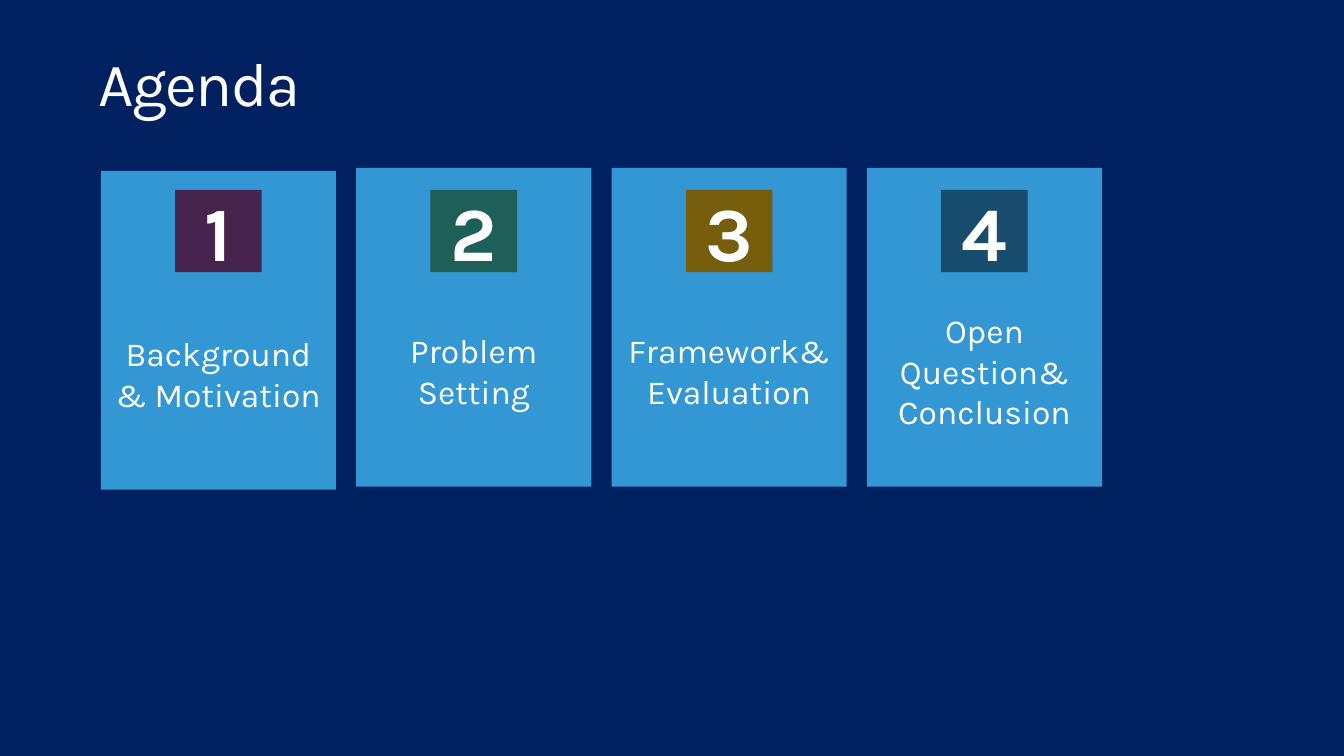
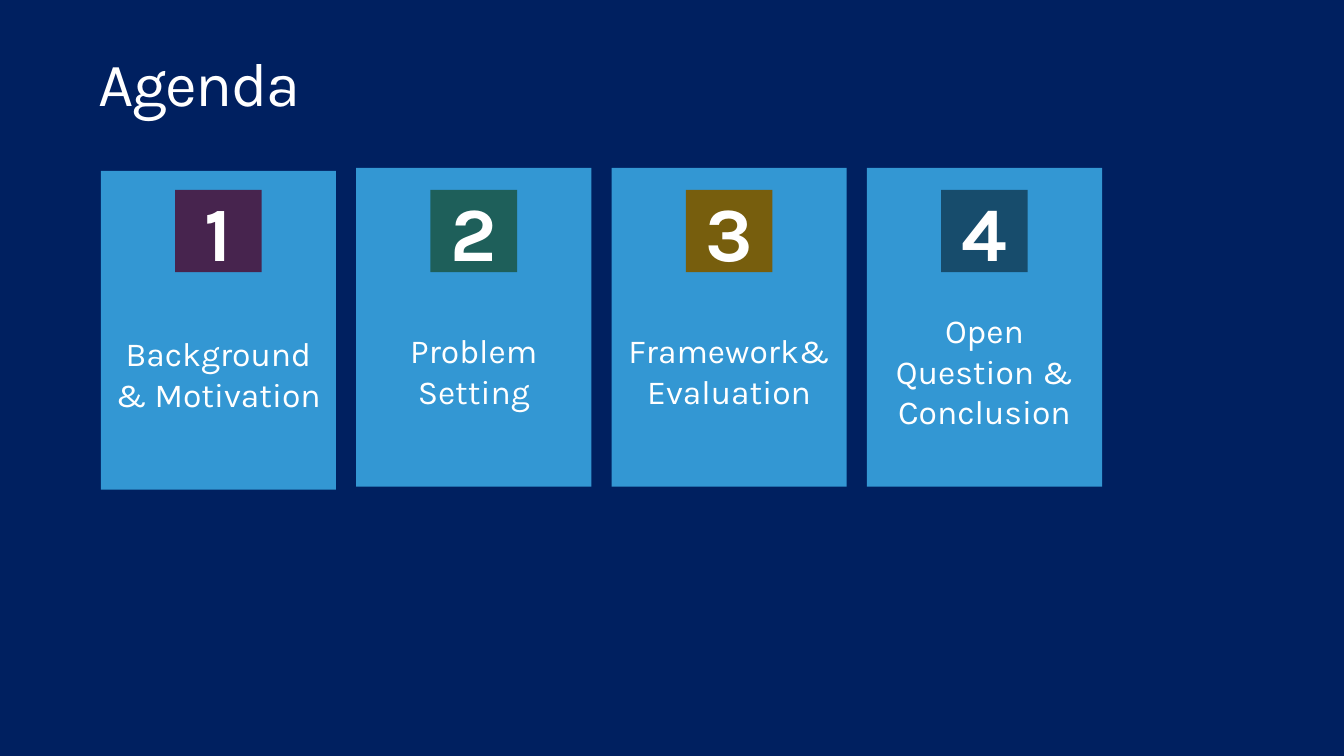
from dataclasses import dataclass

from pptx import Presentation
from pptx.dml.color import RGBColor
from pptx.enum.shapes import MSO_SHAPE
from pptx.enum.text import MSO_ANCHOR, MSO_AUTO_SIZE, PP_ALIGN
from pptx.util import Pt


@dataclass(frozen=True)
class Theme:
    """Colours, font and type sizes shared by the slides."""
    background: str = "002060"
    card: str = "3397D3"
    text: str = "FFFFFF"
    badges: tuple = ("47244E", "1E5F5A", "775E0D", "174C6C")
    font: str = "Karla"
    title_size: int = 33
    label_size: int = 18
    number_size: int = 41


THEME = Theme()
TITLE_BOX = (52.6, 28.8, 531.4, 36)
CARDS_BOX = (54, 90, 536.4, 170.8)
CARD_GAP = 10.8
FIRST_CARD_DROP = 1.6
BADGE_TOP, BADGE_W, BADGE_H = 11.8, 46.4, 44

TOPICS = ["Background & Motivation", "Problem Setting", "Framework&\nEvaluation"]
AGENDAS = [
    TOPICS + ["Open Question& Conclusion"],
    TOPICS + ["Open Question & Conclusion"],
]


def set_text(tf, text, size, margins, bold=None, align=None):
    """Fill a text frame with uniformly styled paragraphs."""
    tf.word_wrap = True
    tf.margin_left, tf.margin_top, tf.margin_right, tf.margin_bottom = map(Pt, margins)
    tf.text = text
    for p in tf.paragraphs:
        p.alignment = align
        p.font.name = THEME.font
        p.font.size = Pt(size)
        p.font.bold = bold
        p.font.color.rgb = RGBColor.from_string(THEME.text)


def add_block(s, box, fill, text, size, top_margin, bold=None):
    """Add a filled rectangle with centred text."""
    sp = s.shapes.add_shape(MSO_SHAPE.RECTANGLE, *map(Pt, box))
    sp.shadow.inherit = False
    sp.fill.solid()
    sp.fill.fore_color.rgb = RGBColor.from_string(fill)
    sp.line.fill.background()
    sp.text_frame.vertical_anchor = MSO_ANCHOR.MIDDLE
    set_text(sp.text_frame, text, size, (5.4, top_margin, 5.4, 2.7), bold, PP_ALIGN.CENTER)


def add_title(s, box, text):
    """Add the slide title."""
    tf = s.shapes.add_textbox(*map(Pt, box)).text_frame
    set_text(tf, text, THEME.title_size, (0, 0, 0, 0))
    tf.auto_size = MSO_AUTO_SIZE.SHAPE_TO_FIT_TEXT
    p = tf.paragraphs[0]
    p.line_spacing = 0.9
    p.runs[0].font._element.set("spc", "-80")


def add_cards(s, box, topics):
    """Add a row of topic cards with numbered badges on top."""
    left, top, width, height = box
    card_w = (width - CARD_GAP * (len(topics) - 1)) / len(topics)
    xs = [left + i * (card_w + CARD_GAP) for i in range(len(topics))]
    for i, (x, topic) in enumerate(zip(xs, topics)):
        y = top if i else top + FIRST_CARD_DROP
        add_block(s, (x, y, card_w, height), THEME.card, topic, THEME.label_size, 49)
    for i, (x, color) in enumerate(zip(xs, THEME.badges), 1):
        badge = (x + (card_w - BADGE_W) / 2, top + BADGE_TOP, BADGE_W, BADGE_H)
        add_block(s, badge, color, str(i), THEME.number_size, 2.7, True)


def add_agenda_slide(prs, topics):
    """Add one agenda slide."""
    s = prs.slides.add_slide(prs.slide_layouts[6])
    s.background.fill.solid()
    s.background.fill.fore_color.rgb = RGBColor.from_string(THEME.background)
    add_title(s, TITLE_BOX, "Agenda")
    add_cards(s, CARDS_BOX, topics)


def main():
    """Build and save the presentation."""
    prs = Presentation()
    prs.slide_width, prs.slide_height = Pt(720), Pt(405)
    for topics in AGENDAS:
        add_agenda_slide(prs, topics)
    prs.save("out.pptx")


if __name__ == "__main__":
    main()
